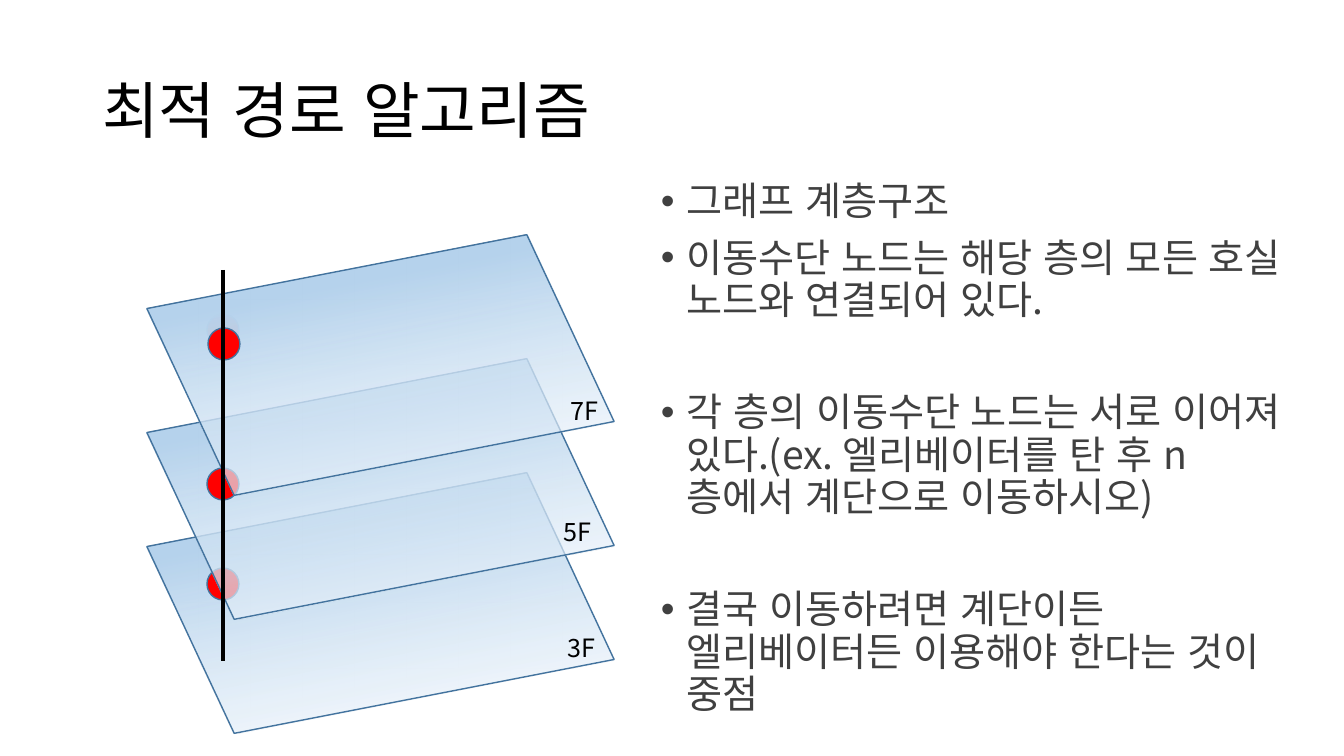
from lxml import etree
from pptx import Presentation
from pptx.dml.color import RGBColor
from pptx.enum.lang import MSO_LANGUAGE_ID
from pptx.enum.shapes import MSO_CONNECTOR, MSO_SHAPE
from pptx.enum.text import MSO_ANCHOR, MSO_AUTO_SIZE, PP_ALIGN
from pptx.oxml import parse_xml
from pptx.oxml.ns import qn
from pptx.util import Pt

PX = 9071.43  # EMU in one px, 100.8 px to the inch
FONT = "Noto Sans CJK KR"
NS = "http://schemas.openxmlformats.org/drawingml/2006/main"
LINE, OVAL, PLANE = MSO_CONNECTOR.STRAIGHT, MSO_SHAPE.OVAL, MSO_SHAPE.PARALLELOGRAM
TOP, MIDDLE, LEFT = MSO_ANCHOR.TOP, MSO_ANCHOR.MIDDLE, PP_ALIGN.LEFT
FIXED, KOREAN = MSO_AUTO_SIZE.NONE, MSO_LANGUAGE_ID.KOREAN
STOPS = [(0, "F7FAFD", 51), (74, "B5D2EC", 100), (83, "B5D2EC", 100), (100, "CEE1F2", 100)]


def write(shape, texts, size=18, color="000000", spacing=1.0, gaps=(0,),
          anchor=TOP, bullet=False):
    frame = shape.text_frame
    frame.word_wrap = True
    frame.auto_size = FIXED
    frame.vertical_anchor = anchor
    for i, (text, gap) in enumerate(zip(texts, gaps)):
        para = frame.paragraphs[0] if i == 0 else frame.add_paragraph()
        para.alignment = LEFT
        para.line_spacing = spacing
        para.space_before = Pt(gap)
        run = para.add_run()
        run.text = text
        run.font.size = Pt(size)
        run.font.name = FONT
        run.font.language_id = KOREAN
        run.font.color.rgb = RGBColor.from_string(color)
        etree.SubElement(run.font._element, qn("a:ea"), typeface=FONT)
        if bullet:
            props = para._p.get_or_add_pPr()
            props.set("marL", "228600")
            props.set("indent", "-228600")
            etree.SubElement(props, qn("a:buFont"), typeface="Arial")
            etree.SubElement(props, qn("a:buChar"), char="•")


def draw(kind, *box):
    shape = slide.shapes.add_shape(kind, *[round(n * PX) for n in box])
    shape.shadow.inherit = False
    shape.line.color.rgb = RGBColor.from_string("43739E")
    shape.line.width = Pt(1)
    if kind == OVAL:
        shape.fill.solid()
        shape.fill.fore_color.rgb = RGBColor.from_string("FF0000")
        return
    shape.rotation = 169
    props = shape._element.spPr
    props.find(qn("a:xfrm")).set("flipH", "1")
    stops = "".join(
        f'<a:gs pos="{pos}000"><a:srgbClr val="{hue}"><a:alpha val="{alpha}000"/>'
        f'</a:srgbClr></a:gs>' for pos, hue, alpha in STOPS)
    props.find(qn("a:prstGeom")).addnext(parse_xml(
        f'<a:gradFill xmlns:a="{NS}" rotWithShape="1"><a:gsLst>{stops}</a:gsLst>'
        f'<a:lin ang="5400000" scaled="0"/></a:gradFill>'))


prs = Presentation()
prs.slide_width, prs.slide_height = round(1344 * PX), round(756 * PX)
slide = prs.slides.add_slide(prs.slide_layouts[5])

title = slide.shapes.title
title.left, title.top, title.width, title.height = [round(n * PX) for n in (92, 41, 1159, 146)]
write(title, ["최적 경로 알고리즘"], size=44, spacing=0.9, anchor=MIDDLE)

# Floors from the bottom up, each with the nodes that lie on it
floors = [
    (503, [(207, 314), (207, 568)]),
    (389, [(207, 468)]),
    (265, [(208, 328)]),
]
for top, nodes in floors:
    draw(PLANE, 162, top, 437, 200)
    for x, y in nodes:
        draw(OVAL, x, y, 32, 32)

shaft = slide.shapes.add_connector(LINE, *[round(n * PX) for n in (223, 270, 223, 661)])
shaft.line.color.rgb = RGBColor.from_string("000000")
shaft.line.width = Pt(2.25)
etree.SubElement(shaft._element.spPr, qn("a:effectLst"))

points = [
    "그래프 계층구조",
    "이동수단 노드는 해당 층의 모든 호실 노드와 연결되어 있다.",
    "각 층의 이동수단 노드는 서로 이어져 있다.(ex. 엘리베이터를 탄 후 n층에서 계단으로 이동하시오)",
    "결국 이동하려면 계단이든 엘리베이터든 이용해야 한다는 것이 중점",
]
body = slide.shapes.add_textbox(*[round(n * PX) for n in (651, 177, 648, 552)])
write(body, points, size=28, color="404040", spacing=0.9, gaps=(0, 10, 50, 50), bullet=True)

for name, x, y in [("3F", 558, 627), ("7F", 561, 390), ("5F", 554, 511)]:
    label = slide.shapes.add_textbox(*[round(n * PX) for n in (x, y, 88, 40)])
    write(label, [name])

prs.save("out.pptx")
